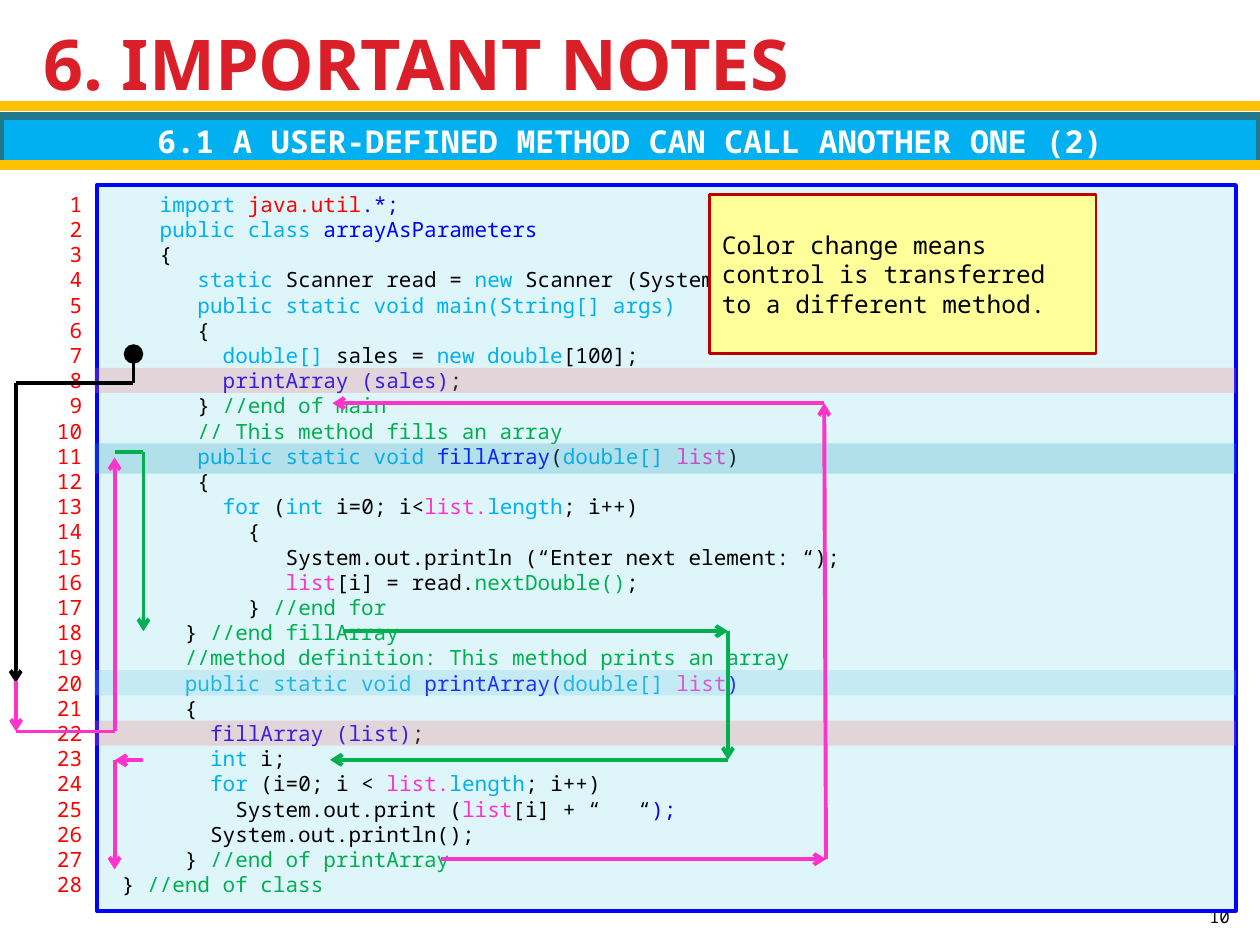
from pptx import Presentation
from pptx.util import Pt
from pptx.dml.color import RGBColor as Rgb
from pptx.enum.shapes import MSO_SHAPE as Kind, MSO_CONNECTOR as Wire
from pptx.enum.text import PP_ALIGN as Align, MSO_ANCHOR as Anchor
from pptx.oxml.ns import qn
from lxml.etree import SubElement as Sub

THEME = {
    "k": "000000", "c": "00B0F0", "b": "0000FF", "r": "FF0000", "g": "00B050",
    "p": "FF33CC", "white": "FFFFFF", "title": "DA1F28", "gold": "FFC000",
    "teal": "21788D", "pale": "DEF5FA", "note": "FFFF99", "edge": "C00000",
    "rose": "EC767C", "sea": "2DA2BF", "sky": "7ACBE0",
    "sans": "Noto Sans", "mono": "Noto Sans Mono",
    "head": 40, "sub": 18, "call": 14, "code": 12, "page": 10,
}

CODE = [
    (4, "c", "import ", "r", "java.util", "b", ".*;"),
    (4, "c", "public class ", "b", "arrayAsParameters"),
    (4, "k", "{"),
    (7, "c", "static ", "k", "Scanner read = ", "c", "new ", "k", "Scanner (System.in);"),
    (7, "c", "public static void main(String[] args)"),
    (7, "k", "{"),
    (9, "c", "double[]", "k", " sales = ", "c", "new double", "k", "[100];"),
    (9, "b", "printArray (sales)", "k", ";"),
    (7, "k", "} ", "g", "//end of main"),
    (7, "g", "// This method fills an array"),
    (7, "c", "public static void ", "b", "fillArray", "k", "(", "c", "double[] ",
     "p", "list", "k", ")"),
    (7, "k", "{"),
    (9, "c", "for ", "k", "(", "c", "int ", "k", "i=0; i<", "p", "list.",
     "c", "length", "k", "; i++)"),
    (11, "k", "{"),
    (14, "k", "System.out.println (“Enter next element: “);"),
    (14, "p", "list", "k", "[i] = read.", "g", "nextDouble()", "k", ";"),
    (11, "k", "}", "g", " //end for"),
    (6, "k", "}", "g", " //end fillArray"),
    (6, "g", "//method definition: This method prints an array"),
    (6, "c", "public static void ", "b", "printArray(", "c", "double[] ",
     "p", "list", "b", ")"),
    (6, "k", "{"),
    (8, "b", "fillArray (list)", "k", ";"),
    (8, "c", "int ", "k", "i;"),
    (8, "c", "for ", "k", "(i=0; i < ", "p", "list.", "c", "length", "k", "; i++)"),
    (10, "k", "System.out.print (", "p", "list", "k", "[i] + “   “", "b", ");"),
    (8, "k", "System.out.println();"),
    (6, "k", "} ", "g", "//end of printArray"),
    (1, "k", "} ", "g", "//end of class"),
]

BANDS = [(8, "rose", 14.4), (22, "rose", 14.4), (11, "sea", 17.3), (20, "sky", 14.4)]

ROUTES = [
    ("k", [(76.3, 202.3), (76.3, 219), (9, 219), (9, 390.2)], ["oval", "", "arrow"]),
    ("p", [(9.2, 389), (9.2, 418), (65.5, 418), (65.5, 261.4)], ["arrow", "", "arrow"]),
    ("p", [(252, 491), (472, 491), (471, 230.4), (190, 230.4)], ["arrow"] * 3),
    ("g", [(195.8, 360.7), (416, 360.7), (416, 434.2), (188.6, 434.2)], ["arrow"] * 3),
    ("g", [(65.5, 258.5), (82, 258.5), (82, 360.7)], ["", "arrow"]),
    ("p", [(82, 434.5), (65.5, 434.5), (65.5, 496.8)], ["arrow"] * 2),
]

TOP, INSET, PITCH, CHAR = 105.8, 3.6, 14.4, 7.2
BODY = (55.4, TOP, 650.9, 414.7)
GUTTER = (14.4, TOP, 39.6, 414.7)

deck = Presentation()
deck.slide_width, deck.slide_height = Pt(720), Pt(540)
slide = deck.slides.add_slide(deck.slide_layouts[6])


def tint(name):
    return Rgb.from_string(THEME[name])


def rect(box, fill, edge=None, width=0, alpha=None):
    shape = slide.shapes.add_shape(Kind.RECTANGLE, *map(Pt, box))
    shape.shadow.inherit = False
    shape.fill.solid()
    shape.fill.fore_color.rgb = tint(fill)
    if alpha:
        color = shape.fill._xPr.find(".//" + qn("a:srgbClr"))
        Sub(color, qn("a:alpha"), val=str(alpha * 1000))
    if edge:
        shape.line.color.rgb = tint(edge)
        shape.line.width = Pt(width)
    else:
        shape.line.fill.background()
    return shape


def area(box):
    return slide.shapes.add_textbox(*map(Pt, box))


def write(shape, rows, size, font="mono", bold=False, align=Align.LEFT,
          anchor=Anchor.MIDDLE, pitch=None):
    frame = shape.text_frame
    frame.word_wrap = True
    frame.vertical_anchor = anchor
    for i, (indent, *parts) in enumerate(rows):
        para = frame.add_paragraph() if i else frame.paragraphs[0]
        para.alignment = align
        if pitch:
            para.line_spacing = Pt(pitch)
        if indent:
            para._p.get_or_add_pPr().set("marL", str(Pt(indent * CHAR)))
        for color, text in zip(parts[::2], parts[1::2]):
            run = para.add_run()
            run.text = text
            run.font.name = THEME[font]
            run.font.size = Pt(THEME[size])
            run.font.bold = bold
            run.font.color.rgb = tint(color)


def wire(start, end, color, width=2.25, tip=""):
    line = slide.shapes.add_connector(Wire.STRAIGHT, *map(Pt, start + end))
    line.line.color.rgb = tint(color)
    line.line.width = Pt(width)
    if tip == "oval":
        Sub(line.line._get_or_add_ln(), qn("a:headEnd"), type=tip, w="lg", len="lg")
    elif tip:
        Sub(line.line._get_or_add_ln(), qn("a:tailEnd"), type=tip)
    Sub(line._element.spPr, qn("a:effectLst"))


def main():
    """Build the slide on methods that call other methods."""
    wire((0, 60.5), (720, 60.5), "gold", 6)
    write(area((18, 12.2, 681.8, 46.8)), [(0, "title", "6. IMPORTANT NOTES")],
          "head", font="sans", bold=True)
    write(area((681.1, 504.7, 28.8, 28.8)), [(0, "k", "10")], "page",
          align=Align.RIGHT, anchor=Anchor.BOTTOM)
    write(rect((0, 66.2, 720, 28.1), "c", "teal", 4.33),
          [(0, "white", "6.1 A USER-DEFINED METHOD CAN CALL ANOTHER ONE (2)")],
          "sub", bold=True, align=Align.CENTER)
    wire((0, 94.3), (720, 94.3), "gold", 6)

    write(rect(BODY, "pale", "b", 2.25), CODE, "code", anchor=Anchor.TOP, pitch=PITCH)
    nums = [(0, "r", str(n + 1)) for n in range(len(CODE))]
    write(area(GUTTER), nums, "code", align=Align.RIGHT, anchor=Anchor.TOP, pitch=PITCH)
    for row, color, high in BANDS:
        rect((54, TOP + INSET + (row - 1) * PITCH, 652.3, high), color, alpha=25)

    for color, spots, tips in ROUTES:
        for start, end, tip in zip(spots, spots[1:], tips):
            wire(start, end, color, tip=tip)

    note = "Color change means control is transferred to a different method."
    write(rect((405.4, 111.2, 221, 90.7), "note", "edge", 1.5), [(0, "k", note)],
          "call", pitch=16.8)
    deck.save("out.pptx")


if __name__ == "__main__":
    main()
